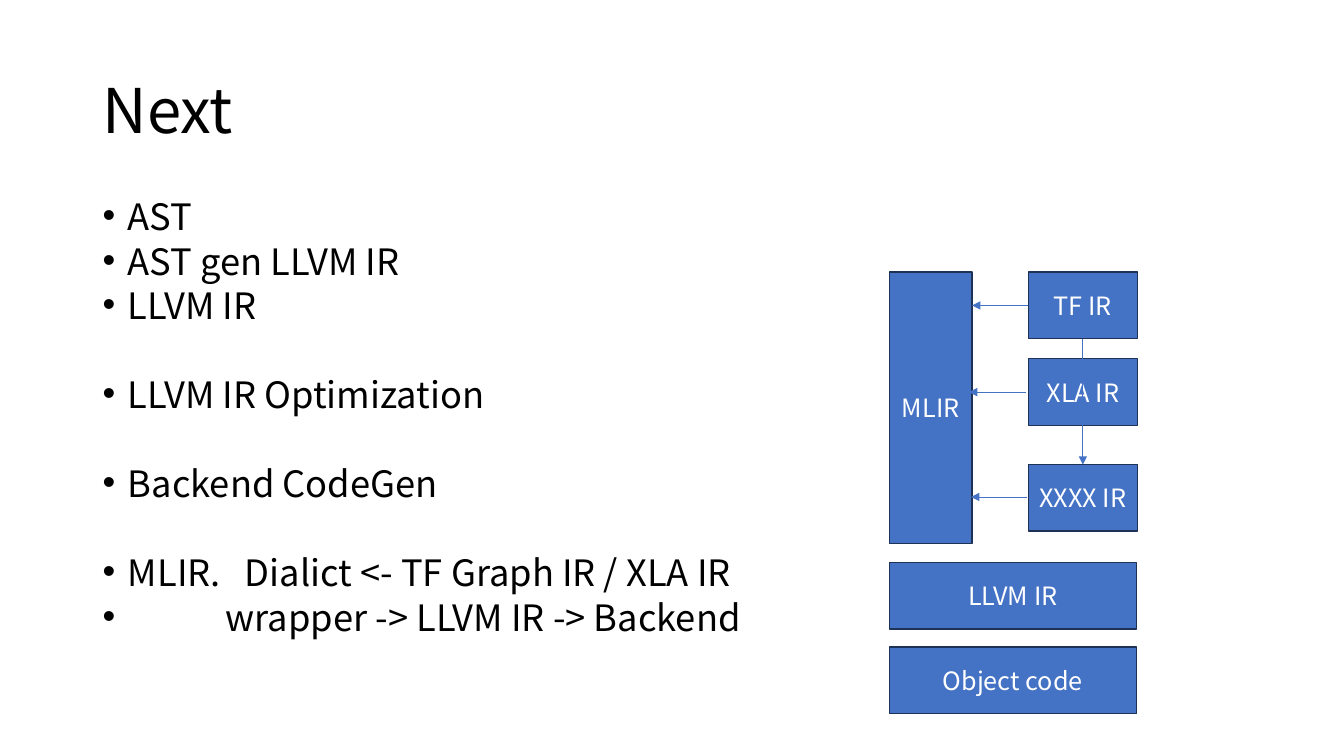
from dataclasses import dataclass

from lxml.etree import SubElement
from pptx import Presentation
from pptx.dml.color import RGBColor as Rgb
from pptx.enum.shapes import MSO_CONNECTOR as Conn, MSO_SHAPE as Form
from pptx.enum.text import MSO_ANCHOR as Anchor, PP_ALIGN as Align
from pptx.oxml.ns import qn
from pptx.shapes.autoshape import Shape
from pptx.slide import Slide
from pptx.text.text import _Paragraph as Para
from pptx.util import Emu, Pt

SCALE = 9144  # EMU in one px, 100 px to the inch


@dataclass(frozen=True)
class Theme:
    font: str = "Noto Sans CJK SC"
    ink: str = "000000"
    light: str = "FFFFFF"
    fill: str = "4472C4"
    edge: str = "1E3256"
    title: float = 44
    body: float = 25.9
    label: float = 18
    border: float = 1
    wire: float = 0.5


@dataclass(frozen=True)
class Item:
    text: str
    gap: bool = False  # one free line above
    indent: int = 25
    tab: int = 0


@dataclass(frozen=True)
class Box:
    text: str
    x: int
    y: int
    w: int
    h: int = 66


@dataclass(frozen=True)
class Arrow:
    x1: int
    y1: int
    x2: int
    y2: int
    start: tuple[str, int] | None = None  # box and side
    end: tuple[str, int] | None = None


THEME = Theme()
LEAD, STEP = 10, 31.8  # points before an item, points from line to line

ITEMS = [
    Item("AST"),
    Item("AST gen LLVM IR"),
    Item("LLVM IR"),
    Item("LLVM IR Optimization", gap=True),
    Item("Backend CodeGen", gap=True),
    Item("MLIR.\tDialict <- TF Graph IR / XLA IR", gap=True, tab=141),
    Item("wrapper -> LLVM IR -> Backend", indent=122),
]

LEFT, RIGHT = 882, 1020
BOXES = [
    Box("MLIR", LEFT, 270, 82, 269),
    *(Box(name, RIGHT, y, 108)
      for name, y in (("TF IR", 270), ("XLA IR", 356), ("XXXX IR", 461))),
    Box("LLVM IR", LEFT, 558, 245),
    Box("Object code", LEFT, 642, 245),
]

ARROWS = [
    Arrow(1074, 336, 1074, 461, ("TF IR", 2), ("XXXX IR", 0)),
    Arrow(RIGHT, 303, 964, 303, ("TF IR", 1)),
    Arrow(1018, 389, 961, 389),
    Arrow(1019, 493, 963, 493),
]


def px(n: int) -> Emu:
    return Emu(n * SCALE)


def add_run(para: Para, text: str, size: float, color: str) -> None:
    run = para.add_run()
    run.text = text
    run.font.size = Pt(size)
    run.font.name = THEME.font
    run.font.color.rgb = Rgb.from_string(color)
    SubElement(run.font._element, qn("a:ea"), typeface=THEME.font)


def add_title(slide: Slide, text: str) -> None:
    frame = slide.shapes.add_textbox(px(92), px(40), px(1150), px(145)).text_frame
    frame.word_wrap = True
    frame.vertical_anchor = Anchor.MIDDLE
    para = frame.paragraphs[0]
    para.line_spacing = 0.9
    add_run(para, text, THEME.title, THEME.ink)


def add_list(slide: Slide, items: list[Item]) -> None:
    frame = slide.shapes.add_textbox(px(92), px(200), px(1150), px(476)).text_frame
    frame.word_wrap = True
    for i, item in enumerate(items):
        para = frame.add_paragraph() if i else frame.paragraphs[0]
        para.line_spacing = 0.7
        para.space_before = Pt(LEAD + STEP * item.gap)
        props = para._p.get_or_add_pPr()
        props.set("marL", str(px(item.indent)))
        props.set("indent", str(-px(item.indent)))
        SubElement(props, qn("a:buFont"), typeface="Arial")
        SubElement(props, qn("a:buChar"), char="•")
        if item.tab:
            tabs = SubElement(props, qn("a:tabLst"))
            SubElement(tabs, qn("a:tab"), pos=str(px(item.tab)), algn="l")
        add_run(para, item.text, THEME.body, THEME.ink)


def add_box(slide: Slide, box: Box) -> Shape:
    shape = slide.shapes.add_shape(
        Form.RECTANGLE, px(box.x), px(box.y), px(box.w), px(box.h))
    shape.shadow.inherit = False
    shape.fill.solid()
    shape.fill.fore_color.rgb = Rgb.from_string(THEME.fill)
    shape.line.color.rgb = Rgb.from_string(THEME.edge)
    shape.line.width = Pt(THEME.border)
    frame = shape.text_frame
    frame.word_wrap = True
    frame.vertical_anchor = Anchor.MIDDLE
    para = frame.paragraphs[0]
    para.alignment = Align.CENTER
    add_run(para, box.text, THEME.label, THEME.light)
    return shape


def add_arrow(slide: Slide, arrow: Arrow, shapes: dict[str, Shape]) -> None:
    link = slide.shapes.add_connector(
        Conn.STRAIGHT, px(arrow.x1), px(arrow.y1), px(arrow.x2), px(arrow.y2))
    if arrow.start:
        name, side = arrow.start
        link.begin_connect(shapes[name], side)
    if arrow.end:
        name, side = arrow.end
        link.end_connect(shapes[name], side)
    link.line.color.rgb = Rgb.from_string(THEME.fill)
    link.line.width = Pt(THEME.wire)
    SubElement(link.line._get_or_add_ln(), qn("a:tailEnd"), type="triangle")
    SubElement(link._element.spPr, qn("a:effectLst"))


def main() -> None:
    deck = Presentation()
    deck.slide_width, deck.slide_height = px(1333), px(750)
    slide = deck.slides.add_slide(deck.slide_layouts[6])

    # Text
    add_title(slide, "Next")
    add_list(slide, ITEMS)

    # Diagram
    shapes = {box.text: add_box(slide, box) for box in BOXES}
    for arrow in ARROWS:
        add_arrow(slide, arrow, shapes)

    deck.save("out.pptx")


if __name__ == "__main__":
    main()
